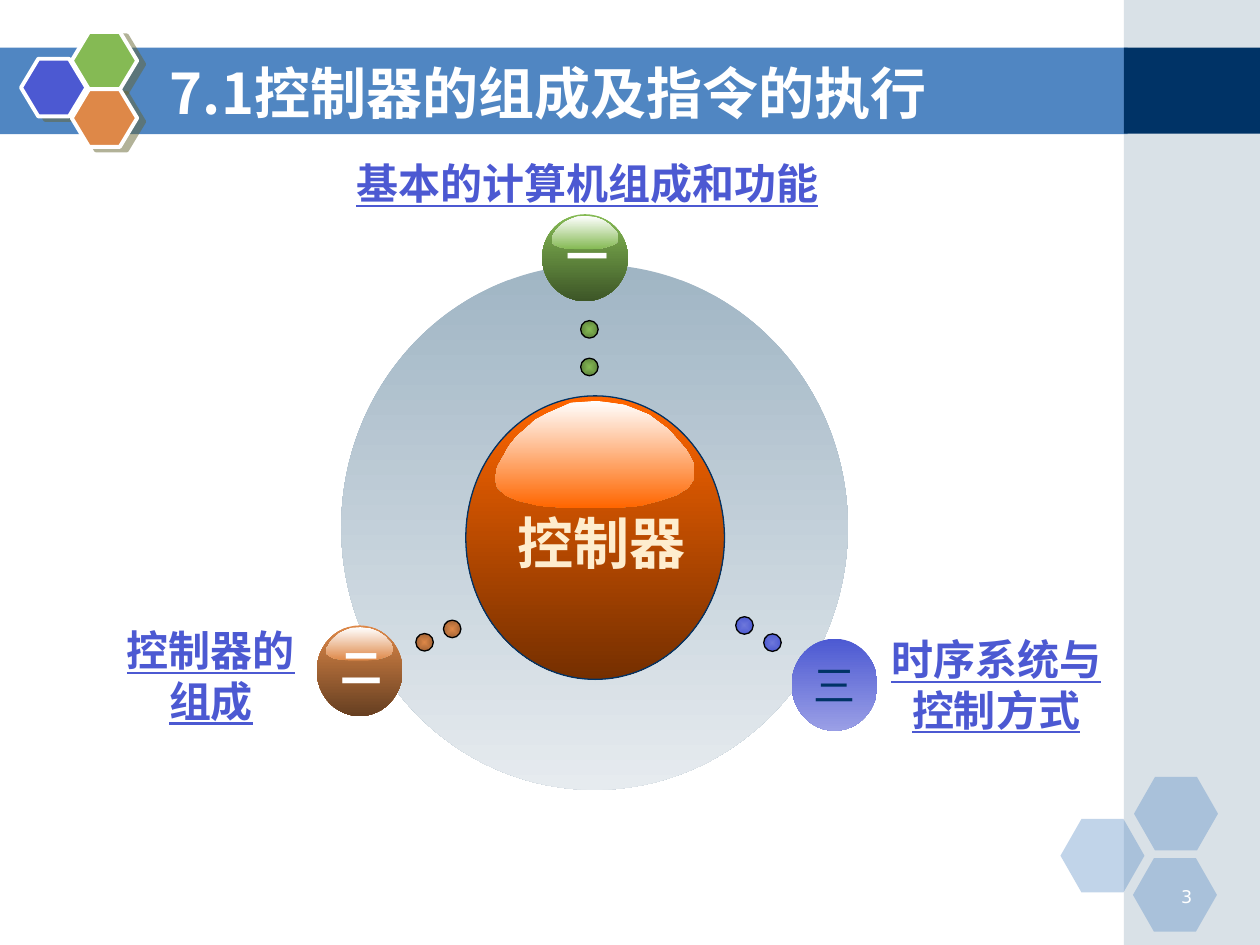
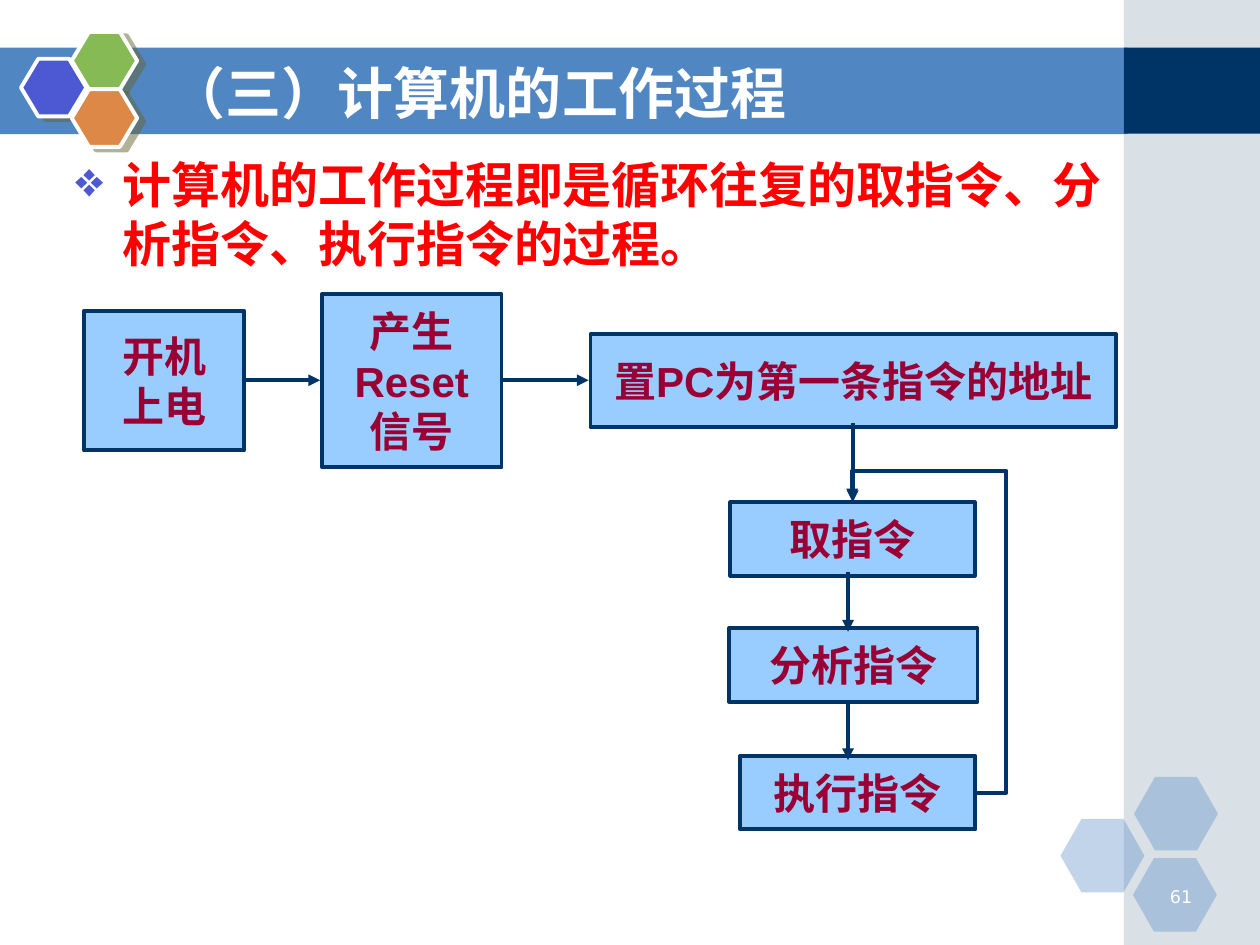
from lxml import etree
from pptx import Presentation
from pptx.dml.color import RGBColor
from pptx.enum import shapes, text
from pptx.oxml import ns
from pptx.util import Pt

WHITE = RGBColor(0xFF, 0xFF, 0xFF)
BLACK = RGBColor(0x00, 0x00, 0x00)
NAVY = RGBColor(0x00, 0x33, 0x66)
BAND = RGBColor(0x50, 0x86, 0xC2)
STEEL = RGBColor(0xA0, 0xB5, 0xC4)
MIST = RGBColor(0xE6, 0xEB, 0xEF)
BLUE = RGBColor(0x4C, 0x59, 0xD2)
LILAC = RGBColor(0x9A, 0x9F, 0xE6)
SKY = RGBColor(0x6E, 0x78, 0xDA)
GREEN = RGBColor(0x85, 0xBA, 0x54)
MOSS = RGBColor(0x5E, 0x84, 0x3C)
PINE = RGBColor(0x3D, 0x56, 0x27)
COPPER = RGBColor(0xDE, 0x88, 0x48)
RUST = RGBColor(0xA2, 0x63, 0x35)
BROWN = RGBColor(0x66, 0x3F, 0x21)
ORANGE = RGBColor(0xFF, 0x66, 0x00)
EMBER = RGBColor(0x75, 0x2F, 0x00)
CREAM = RGBColor(0xFE, 0xED, 0xCE)
RED = RGBColor(0xFF, 0x00, 0x00)
WINE = RGBColor(0x99, 0x00, 0x33)
PALE = RGBColor(0x99, 0xCC, 0xFF)

CJK = "Noto Sans CJK SC"
OVAL = shapes.MSO_SHAPE.OVAL
RECT = shapes.MSO_SHAPE.RECTANGLE
HEX = shapes.MSO_SHAPE.HEXAGON
LEFT, MID, RIGHT = text.PP_ALIGN.LEFT, text.PP_ALIGN.CENTER, text.PP_ALIGN.RIGHT

# Outline of a glossy highlight, in percent of its box
GLOSS = [(99, 56), (100, 62), (100, 72), (97, 81), (91, 88), (83, 93), (73, 98),
         (60, 100), (36, 100), (22, 98), (11, 93), (5, 88), (1, 81), (0, 73),
         (1, 62), (4, 52), (7, 42), (11, 33), (16, 25), (20, 18), (26, 12),
         (32, 7), (38, 2), (51, 0), (65, 4), (77, 13), (87, 27), (96, 46)]


def draw(slide, kind, box, fill, edge=None, width=2.25, alpha=None):
    """Draw a preset shape, or a highlight if kind is None; a fill list is a gradient."""
    if kind is None:
        x, y, w, h = box
        dots = [(Pt(x + w * a / 100), Pt(y + h * b / 100)) for a, b in GLOSS]
        pen = slide.shapes.build_freeform(*dots[0])
        pen.add_line_segments(dots[1:])
        item = pen.convert_to_shape()
    else:
        item = slide.shapes.add_shape(kind, *map(Pt, box))
    item.shadow.inherit = False
    if isinstance(fill, list):
        item.fill.gradient()
        item.fill.gradient_angle = 270
        for stop, tone in zip(item.fill.gradient_stops, fill):
            stop.color.rgb = tone
    else:
        item.fill.solid()
        item.fill.fore_color.rgb = fill
    if alpha:
        tone = item._element.spPr.find(".//" + ns.qn("a:srgbClr"))
        etree.SubElement(tone, ns.qn("a:alpha"), val=str(alpha * 1000))
    if edge is None:
        item.line.fill.background()
    else:
        item.line.color.rgb = edge
        item.line.width = Pt(width)
    return item


def put(item, words, size, tone, face="Arial", bold=True, align=MID,
        mid=False, wrap=True, under=None):
    """Set and format the text of a shape or text box."""
    frame = item.text_frame
    frame.text = words
    frame.word_wrap = wrap
    frame.vertical_anchor = text.MSO_ANCHOR.MIDDLE if mid else text.MSO_ANCHOR.TOP
    for para in frame.paragraphs:
        para.alignment = align
        for run in para.runs:
            font = run.font
            font.size, font.bold, font.underline = Pt(size), bold, under
            font.color.rgb = tone
            font.name = face
            etree.SubElement(run._r.get_or_add_rPr(), ns.qn("a:ea"), typeface=CJK)


deck = Presentation()
deck.slide_width, deck.slide_height = Pt(720), Pt(540)

# Shared frame: band, side strip, hexagons, page number, title
for title, page in [("7.1控制器的组成及指令的执行", "3"), ("（三）计算机的工作过程", "61")]:
    slide = deck.slides.add_slide(deck.slide_layouts[6])
    draw(slide, RECT, (0, 27.2, 644.4, 49.4), BAND)
    draw(slide, RECT, (642.2, 0, 77.8, 540), STEEL, alpha=40)
    draw(slide, RECT, (642.2, 27.2, 77.8, 49.2), NAVY)
    for x, y in [(606, 468), (648, 444), (647.4, 490.4)]:
        cell = draw(slide, HEX, (x, y, 48, 42), BAND, alpha=35)
        cell.adjustments[0] = 0.286
    for x, y, tone in [(12, 33.6, BLUE), (41, 18.2, GREEN), (41, 51, COPPER)]:
        cell = draw(slide, HEX, (x, y, 37.4, 33), tone, WHITE)
        cell.adjustments[0] = 0.3
        glow = etree.SubElement(cell._element.spPr.find(ns.qn("a:effectLst")),
                                ns.qn("a:outerShdw"), dist=str(Pt(4.5)),
                                dir=str(27 * 60000), algn="ctr", rotWithShape="0")
        shade = etree.SubElement(glow, ns.qn("a:srgbClr"), val="666633")
        etree.SubElement(shade, ns.qn("a:alpha"), val="50000")
    box = slide.shapes.add_textbox(Pt(652.3), Pt(502.6), Pt(36), Pt(18))
    put(box, page, 10, WHITE, "DejaVu Sans", False, RIGHT)
    box = slide.shapes.add_textbox(Pt(90), Pt(30.2), Pt(527.8), Pt(44.6))
    put(box, title, 32, WHITE, CJK, align=LEFT, mid=True)

topic, flow = deck.slides

# Topic slide: disc and central ball
draw(topic, OVAL, (195, 151.2, 289.5, 300.2), [STEEL, MIST])
draw(topic, OVAL, (266.2, 226.2, 147.8, 162), [ORANGE, EMBER], NAVY, 0.75)
draw(topic, None, (283, 229, 113.8, 61.2), [WHITE, ORANGE])
box = topic.shapes.add_textbox(Pt(286.6), Pt(287.3), Pt(113.8), Pt(45.4))
put(box, "控制器", 32, CREAM, CJK)

# Numbered balls
for mark, x, y, h, tone, dark in [("一", 309.8, 122.4, 49.7, GREEN, PINE),
                                  ("二", 181, 357.4, 51.8, COPPER, BROWN)]:
    draw(topic, OVAL, (x, y, 49, h), [tone, dark])
    draw(topic, None, (x + 5.5, y + 1, 38.2, 19), [WHITE, tone])
    box = topic.shapes.add_textbox(Pt(x + 6.2), Pt(y + 5.8), Pt(38.9), Pt(36))
    put(box, mark, 24, WHITE, CJK, wrap=False)
ball = draw(topic, OVAL, (452.4, 365, 49, 52.6), [BLUE, LILAC])
put(ball, "三", 24, NAVY, bold=False, mid=True, wrap=False)

# Dots leading to the balls
for x, y, core, rim in [(237.6, 362, COPPER, RUST), (253.4, 354.4, COPPER, RUST),
                        (331.8, 183.2, GREEN, MOSS), (331.8, 204.7, GREEN, MOSS),
                        (436.4, 362.2, SKY, BLUE), (420.4, 352.4, SKY, BLUE)]:
    dot = draw(topic, OVAL, (x, y, 10, 10), [core, rim], BLACK, 0.75)
    lin = dot._element.spPr.find(".//" + ns.qn("a:lin"))
    ring = etree.Element(ns.qn("a:path"), path="shape")
    etree.SubElement(ring, ns.qn("a:fillToRect"), l="50000", t="50000",
                     r="50000", b="50000")
    lin.getparent().replace(lin, ring)

# Labels
for words, x, y, w, h in [("控制器的组成", 56.9, 353.5, 127.4, 64.8),
                          ("基本的计算机组成和功能", 169.2, 86.4, 332.6, 36),
                          ("时序系统与控制方式", 501.1, 358.6, 136.1, 64.8)]:
    box = topic.shapes.add_textbox(Pt(x), Pt(y), Pt(w), Pt(h))
    put(box, words, 24, BLUE, under=True)

# Flow slide: bulleted statement
box = flow.shapes.add_textbox(Pt(36), Pt(85), Pt(607.7), Pt(77.8))
put(box, "计算机的工作过程即是循环往复的取指令、分析指令、执行指令的过程。",
    28, RED, CJK, align=LEFT)
props = box.text_frame.paragraphs[0]._p.get_or_add_pPr()
props.set("marL", str(Pt(27)))
props.set("indent", str(Pt(-27)))
hue = etree.SubElement(props, ns.qn("a:buClr"))
etree.SubElement(hue, ns.qn("a:srgbClr"), val=str(BLUE))
etree.SubElement(props, ns.qn("a:buChar"), char="❖")

# Flow boxes
for words, *place in [("开机\n上电", 48, 177.6, 91.6, 79.8),
                      ("产生\nReset\n信号", 184, 168, 102.6, 99),
                      ("置PC为第一条指令的地址", 337.4, 191, 300.4, 53),
                      ("取指令", 417.4, 287, 139.6, 42),
                      ("分析指令", 416.6, 359, 142, 42),
                      ("执行指令", 423, 432, 134.4, 42)]:
    step = draw(flow, RECT, place, PALE, NAVY)
    put(step, words, 24, WINE, mid=True, wrap=False)

# Arrows; the last one loops back to the fetch step
LINE, BENT = shapes.MSO_CONNECTOR.STRAIGHT, shapes.MSO_CONNECTOR.ELBOW
for kind, *ends in [(LINE, 140.4, 217.3, 183, 217.3), (LINE, 287.3, 217.3, 336.4, 217.3),
                    (LINE, 484.6, 327, 484.6, 361), (LINE, 487.3, 242, 487.3, 287),
                    (LINE, 484.6, 400.4, 484.6, 434.4), (BENT, 558.4, 453, 487, 286)]:
    arrow = flow.shapes.add_connector(kind, *map(Pt, ends))
    arrow.line.color.rgb = NAVY
    arrow.line.width = Pt(2.25)
    props = arrow._element.spPr
    etree.SubElement(props.find(ns.qn("a:ln")), ns.qn("a:tailEnd"), type="triangle")
    etree.SubElement(props, ns.qn("a:effectLst"))
    if kind == BENT:
        geom = props.find(ns.qn("a:prstGeom"))
        geom.set("prst", "bentConnector4")
        for name, part in [("adj1", -23400), ("adj2", 110100)]:
            etree.SubElement(geom.find(ns.qn("a:avLst")), ns.qn("a:gd"),
                             name=name, fmla=f"val {part}")

deck.save("out.pptx")
